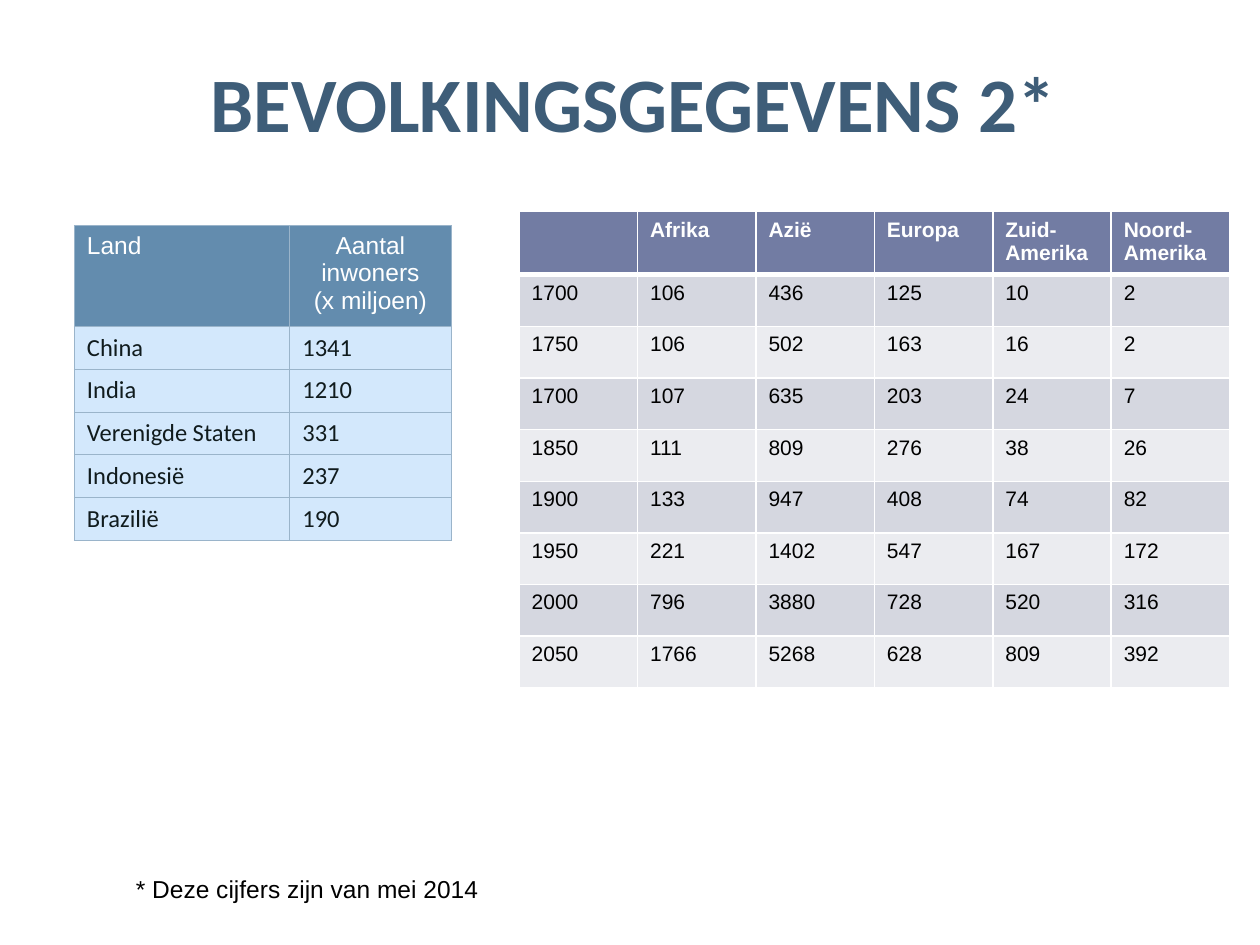
from lxml import etree
from pptx import Presentation, util as u
from pptx.dml.color import RGBColor
from pptx.enum import text as t
from pptx.oxml.ns import qn

TITLE = "BEVOLKINGSGEGEVENS 2*"
NOTE = "* Deze cijfers zijn van mei 2014"
LANDS = [
    ("Land", "Aantal\ninwoners\n(x miljoen)"),
    ("China", "1341"),
    ("India", "1210"),
    ("Verenigde Staten", "331"),
    ("Indonesië", "237"),
    ("Brazilië", "190"),
]
YEARS = [
    ("", "Afrika", "Azië", "Europa", "Zuid-Amerika", "Noord-Amerika"),
    (1700, 106, 436, 125, 10, 2),
    (1750, 106, 502, 163, 16, 2),
    (1700, 107, 635, 203, 24, 7),
    (1850, 111, 809, 276, 38, 26),
    (1900, 133, 947, 408, 74, 82),
    (1950, 221, 1402, 547, 167, 172),
    (2000, 796, 3880, 728, 520, 316),
    (2050, 1766, 5268, 628, 809, 392),
]


def rgb(code):
    """Turn a hex string into a colour."""
    return RGBColor.from_string(code)


def write(frame, words, size=14, font="Arial", color="000000", bold=False,
          align="LEFT", hang=0):
    """Fill a text frame, one paragraph per line of words."""
    frame.word_wrap = True
    for i, line in enumerate(words.split("\n")):
        para = frame.add_paragraph() if i else frame.paragraphs[0]
        para.alignment = getattr(t.PP_ALIGN, align)
        para.font.size = u.Pt(size)
        if hang:
            props = para._p.get_or_add_pPr()
            props.set("marL", str(u.Inches(hang)))
            props.set("indent", str(-u.Inches(hang)))
        if line:
            run = para.add_run()
            run.text = line
            run.font.size, run.font.bold = u.Pt(size), bold
            run.font.name, run.font.color.rgb = font, rgb(color)


def label(slide, box, words, anchor="TOP", **style):
    """Add a text box."""
    frame = slide.shapes.add_textbox(*map(u.Inches, box)).text_frame
    write(frame, words, **style)
    frame.vertical_anchor = getattr(t.MSO_ANCHOR, anchor)


def border(cell, color, widths):
    """Draw the left, right, top and bottom edges of a cell."""
    props = cell._tc.get_or_add_tcPr()
    for i, (side, width) in enumerate(zip("LRTB", widths)):
        line = etree.Element(qn(f"a:ln{side}"), w=str(u.Pt(width)))
        fill = etree.SubElement(line, qn("a:solidFill"))
        etree.SubElement(fill, qn("a:srgbClr"), val=color)
        props.insert(i, line)


def grid(slide, left, top, cols, head, row, data, look):
    """Add a table; look(r, c) gives fill, edge colour, edge widths, style."""
    highs = [head] + [row] * (len(data) - 1)
    box = left, top, sum(cols), sum(highs)
    table = slide.shapes.add_table(
        len(data), len(cols), *map(u.Inches, box)).table
    for col, width in zip(table.columns, cols):
        col.width = u.Inches(width)
    for r, (line, high) in enumerate(zip(data, highs)):
        table.rows[r].height = u.Inches(high)
        for c, value in enumerate(line):
            cell = table.cell(r, c)
            fill, edge, widths, style = look(r, c)
            cell.fill.solid()
            cell.fill.fore_color.rgb = rgb(fill)
            border(cell, edge, widths)
            write(cell.text_frame, str(value), **style)


def land_look(r, c):
    """Style the table of countries."""
    style = dict(hang=0.38, color="FFFFFF", align="CENTER" if c else "LEFT")
    if r:
        style.update(font="Calibri", color="101B1D", align="LEFT")
    return "D3E8FC" if r else "638CAE", "9AB4CA", [0.75] * 4, style


def year_look(r, c):
    """Style the banded table of years."""
    fill = ("EBECF0", "D5D7E0")[r % 2] if r else "727CA3"
    style = dict(size=12, bold=not r, color="000000" if r else "FFFFFF")
    return fill, "FFFFFF", (1, 1, 3 if r == 1 else 1, 1 if r else 3), style


deck = Presentation()
deck.slide_width, deck.slide_height = u.Inches(10), u.Inches(7.5)
page = deck.slides.add_slide(deck.slide_layouts[6])
label(page, (0.78, 0.55, 8.5, 0.67), TITLE, anchor="BOTTOM", size=44,
      font="Calibri", color="3E5D78", bold=True, align="CENTER")
grid(page, 0.59, 1.79, (1.71, 1.28), 0.75, 0.34, LANDS, land_look)
grid(page, 4.12, 1.68, [0.94] * 6, 0.47, 0.41, YEARS, year_look)
label(page, (0.98, 6.89, 4, 0.34), NOTE)
deck.save("out.pptx")
